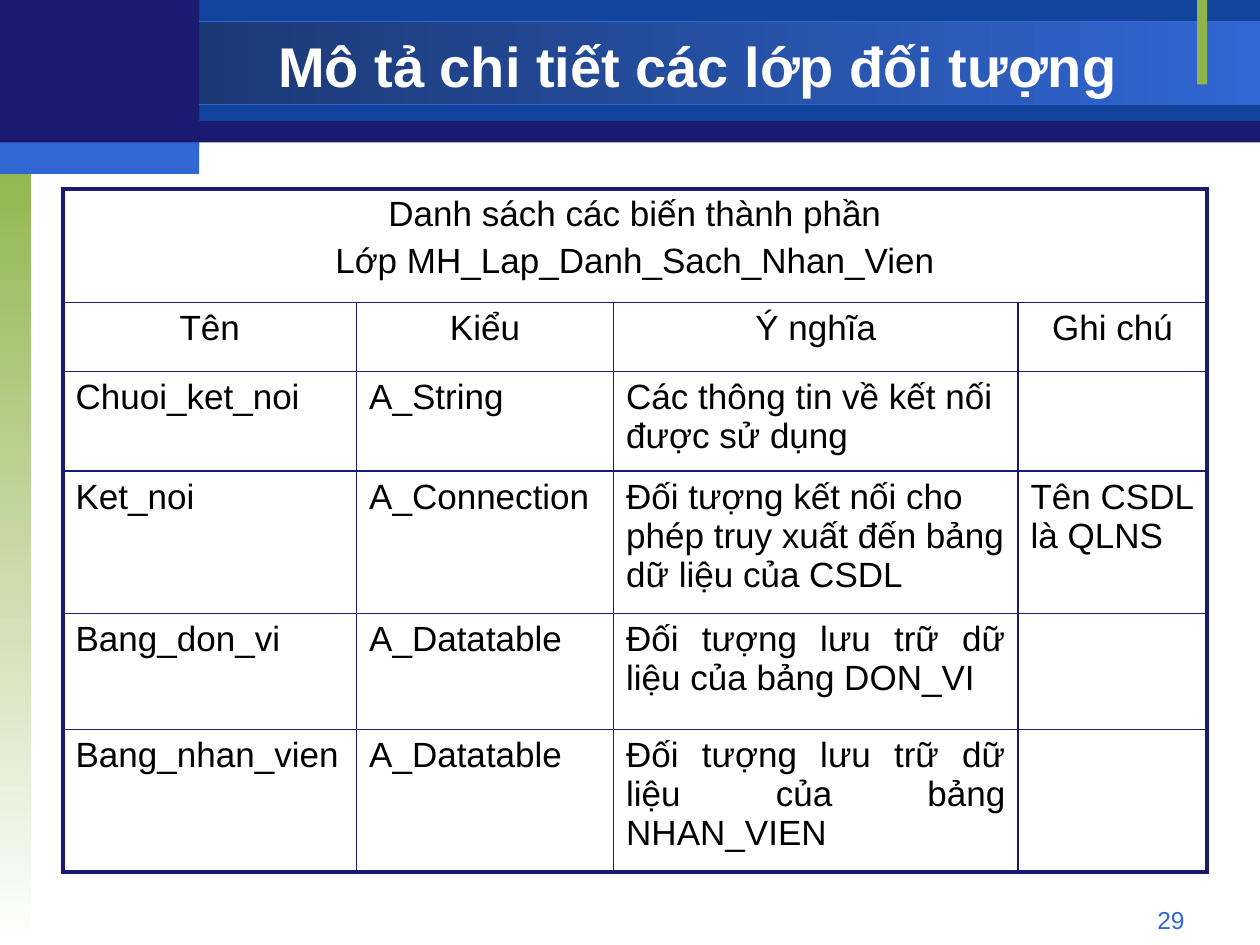
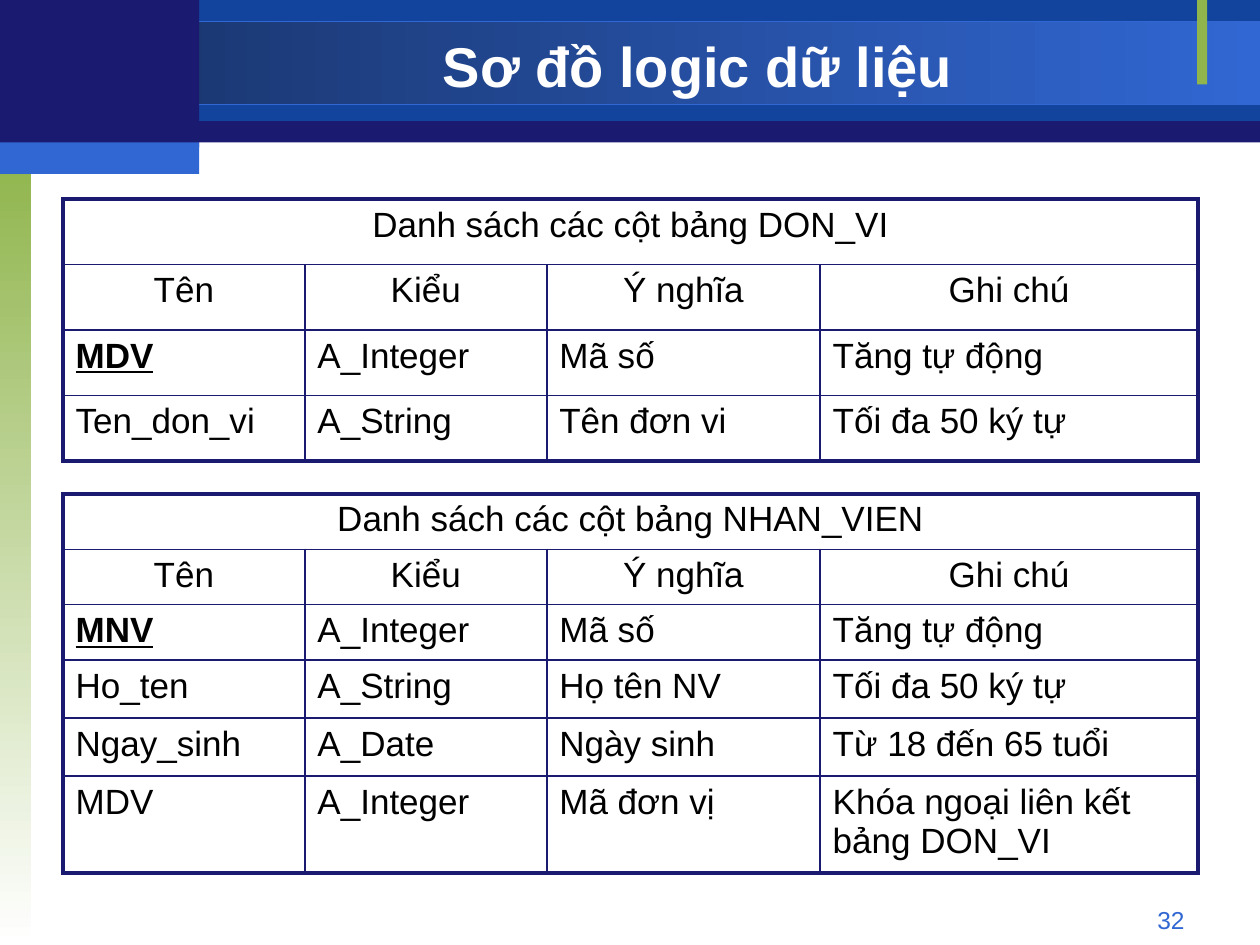
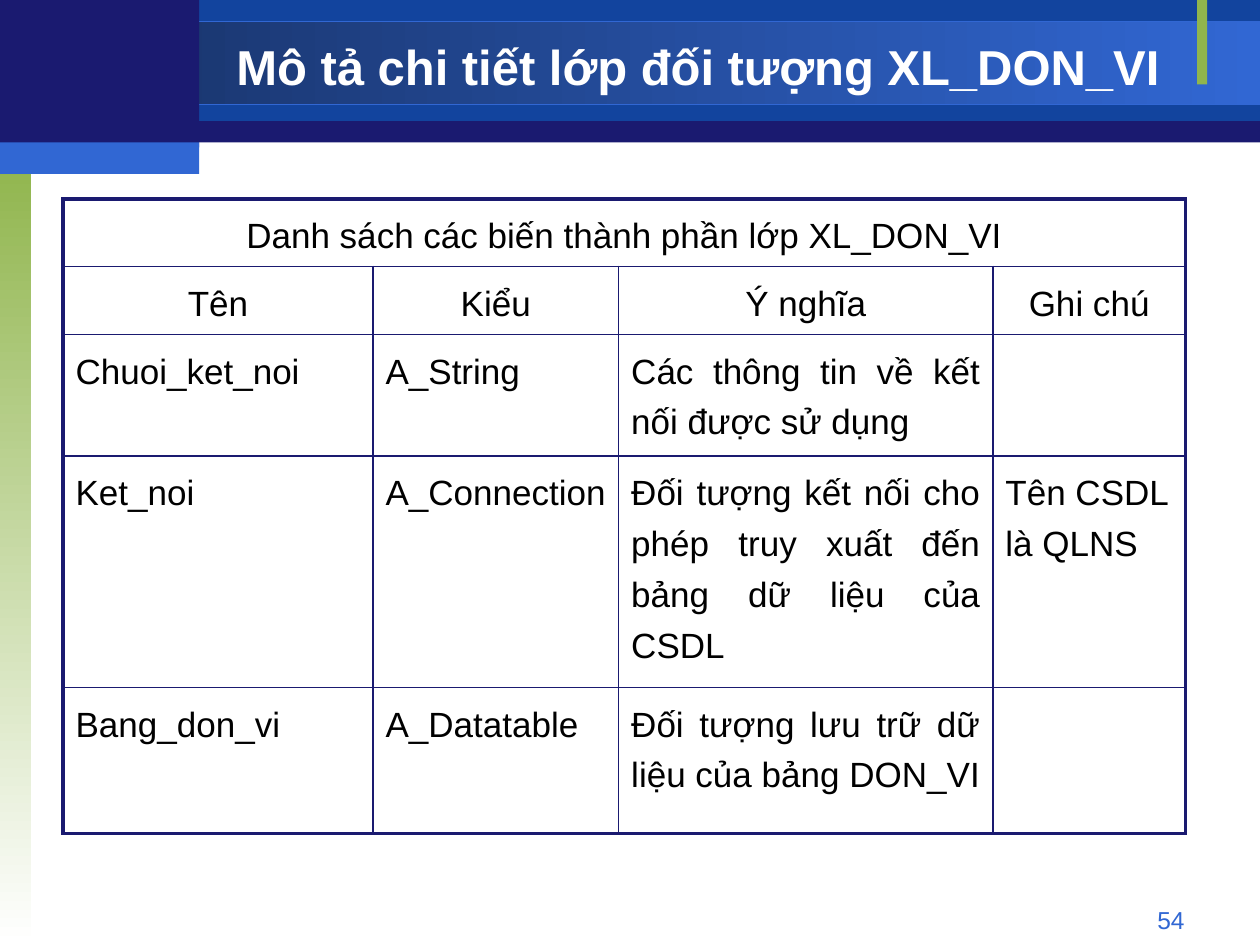
from dataclasses import dataclass

from lxml import etree
from pptx import Presentation
from pptx.dml.color import RGBColor as Rgb
from pptx.enum.shapes import MSO_SHAPE as Kind
from pptx.enum.text import MSO_ANCHOR as Anchor, PP_ALIGN as Align
from pptx.oxml.ns import qn
from pptx.util import Inches, Pt


@dataclass(frozen=True)
class Theme:
    font: str = "Arial"
    navy: str = "1A1A70"
    blue: str = "12449E"
    deep: str = "173062"
    sky: str = "3167D3"
    green: str = "90B54D"
    white: str = "FFFFFF"
    black: str = "000000"
    title: int = 32
    body: int = 20
    page: int = 14
    thick: float = 2.25
    thin: float = 1


THEME = Theme()
TITLE = (1.58, 0.23, 7.92, 0.58)
PAGE = (7.17, 7.13, 2.33, 0.27)
HEADS = ["Tên", "Kiểu", "Ý nghĩa", "Ghi chú"]
COLS = [1.92, 1.92, 2.17, 3]  # column widths of the data tables


def style(para, size, color, align, bold=False):
    para.alignment = align
    font = para.font
    font.name, font.size, font.bold = THEME.font, Pt(size), bold
    font.color.rgb = Rgb.from_string(color)


def block(slide, box, color, end=None, angle=0, line=None):
    """Plain rectangle, or a gradient one when an end colour is given."""
    shape = slide.shapes.add_shape(Kind.RECTANGLE, *map(Inches, box))
    shape.shadow.inherit = False
    if end:
        shape.fill.gradient()
        shape.fill.gradient_angle = angle
        for stop, tone in zip(shape.fill.gradient_stops, (color, end)):
            stop.color.rgb = Rgb.from_string(tone)
    else:
        shape.fill.solid()
        shape.fill.fore_color.rgb = Rgb.from_string(color)
    if line:
        shape.line.color.rgb = Rgb.from_string(line)
        shape.line.width = Pt(0.75)
    else:
        shape.line.fill.background()


def label(slide, box, text, size, color, align, anchor, bold=False):
    frame = slide.shapes.add_textbox(*map(Inches, box)).text_frame
    frame.word_wrap = True
    frame.vertical_anchor = anchor
    para = frame.paragraphs[0]
    para.text = text
    style(para, size, color, align, bold)


def frame(slide, title, page, size=THEME.title):
    """Bands, title and page number shared by every slide."""
    # Header bands
    block(slide, (0, 0.01, 10, 1.12), THEME.navy)
    block(slide, (1.58, 0, 8.42, 0.96), THEME.blue)
    block(slide, (0, 0.17, 10, 0.66), THEME.deep, THEME.sky, line=THEME.sky)
    # Side strip and accents
    block(slide, (0, 1.25, 0.25, 6.25), THEME.green, THEME.white, 270)
    block(slide, (9.5, 0, 0.08, 0.67), THEME.green)
    block(slide, (0, 0, 1.58, 1.17), THEME.navy)
    block(slide, (0, 1.13, 1.58, 0.25), THEME.sky)
    # Texts
    label(slide, PAGE, str(page), THEME.page, THEME.sky, Align.RIGHT, Anchor.TOP)
    label(slide, TITLE, title, size, THEME.white, Align.CENTER, Anchor.MIDDLE, True)


def edge(cell, **widths):
    """Draw the cell's borders; keys are L, R, T and B."""
    props = cell._tc.get_or_add_tcPr()
    for spot, (side, width) in enumerate(widths.items()):
        line = etree.Element(qn("a:ln" + side), w=str(Pt(width)))
        fill = etree.SubElement(line, qn("a:solidFill"))
        etree.SubElement(fill, qn("a:srgbClr"), val=THEME.navy)
        props.insert(spot, line)


def grid(slide, spot, cols, rows, head, data, just, key=False, lead=1.0):
    """Table with a merged heading; column 2 is justified from row just on."""
    left, top = spot
    size = sum(cols), sum(rows)
    shape = slide.shapes.add_table(
        len(rows), len(cols), *map(Inches, (left, top, *size)))
    table = shape.table
    table.first_row = table.horz_banding = False
    for col, width in zip(table.columns, cols):
        col.width = Inches(width)
    for row, height in zip(table.rows, rows):
        row.height = Inches(height)
    table.cell(0, 0).merge(table.cell(0, len(cols) - 1))

    blank = [""] * (len(cols) - 1)
    for r, line in enumerate([[head, *blank], HEADS, *data]):
        for c, text in enumerate(line):
            cell = table.cell(r, c)
            cell.fill.background()
            cell.text = text
            align = (Align.CENTER if r < 2 else
                     Align.JUSTIFY if c == 2 and r >= just else Align.LEFT)
            main = key and (r, c) == (2, 0)
            for n, para in enumerate(cell.text_frame.paragraphs):
                para.line_spacing = lead
                if n:
                    para.space_before = Pt(THEME.body * 0.2)
                style(para, THEME.body, THEME.black, align, main)
                para.font.underline = main
            outer = {"L": c == 0, "R": r == 0 or c == len(cols) - 1,
                     "T": r == 0, "B": r == len(rows) - 1}
            edge(cell, **{side: THEME.thick if out else THEME.thin
                          for side, out in outer.items()})


LINK = ["Chuoi_ket_noi", "A_String", "Các thông tin về kết nối được sử dụng", ""]
JOIN = ["Ket_noi", "A_Connection",
        "Đối tượng kết nối cho phép truy xuất đến bảng dữ liệu của CSDL",
        "Tên CSDL là QLNS"]


def store(name, table):
    return [name, "A_Datatable", f"Đối tượng lưu trữ dữ liệu của bảng {table}", ""]


def ident(name):
    return [name, "A_Integer", "Mã số", "Tăng tự động"]


UNIT = store("Bang_don_vi", "DON_VI")
LIMIT = "Tối đa 50 ký tự"


def classes(slide):
    frame(slide, "Mô tả chi tiết các lớp đối tượng", 29)
    grid(slide, (0.5, 1.5), [2.33, 2.04, 3.21, 1.5],
         [0.9, 0.55, 0.79, 1.13, 0.92, 1.13],
         "Danh sách các biến thành phần\nLớp MH_Lap_Danh_Sach_Nhan_Vien",
         [LINK, JOIN, UNIT, store("Bang_nhan_vien", "NHAN_VIEN")], just=4)


def logic(slide):
    frame(slide, "Sơ đồ logic dữ liệu", 32)
    # Units
    grid(slide, (0.5, 1.58), COLS, [0.52] * 4, "Danh sách các cột bảng DON_VI",
         [ident("MDV"), ["Ten_don_vi", "A_String", "Tên đơn vi", LIMIT]],
         just=3, key=True)
    # Staff
    grid(slide, (0.5, 3.92), COLS, [0.44] * 3 + [0.46] * 2 + [0.77],
         "Danh sách các cột bảng NHAN_VIEN",
         [ident("MNV"),
          ["Ho_ten", "A_String", "Họ tên NV", LIMIT],
          ["Ngay_sinh", "A_Date", "Ngày sinh", "Từ 18 đến 65 tuổi"],
          ["MDV", "A_Integer", "Mã đơn vị", "Khóa ngoại liên kết bảng DON_VI"]],
         just=3, key=True)


def unit(slide):
    frame(slide, "Mô tả chi tiết lớp đối tượng XL_DON_VI", 54, 28)
    grid(slide, (0.5, 1.58), [2.46, 1.95, 2.97, 1.53],
         [0.5, 0.54, 0.9, 1.71, 1.16],
         "Danh sách các biến thành phần lớp XL_DON_VI",
         [LINK, JOIN, UNIT], just=2, lead=1.3)


def main():
    deck = Presentation()
    deck.slide_width, deck.slide_height = Inches(10), Inches(7.5)
    for build in (classes, logic, unit):
        build(deck.slides.add_slide(deck.slide_layouts[6]))
    deck.save("out.pptx")


if __name__ == "__main__":
    main()
